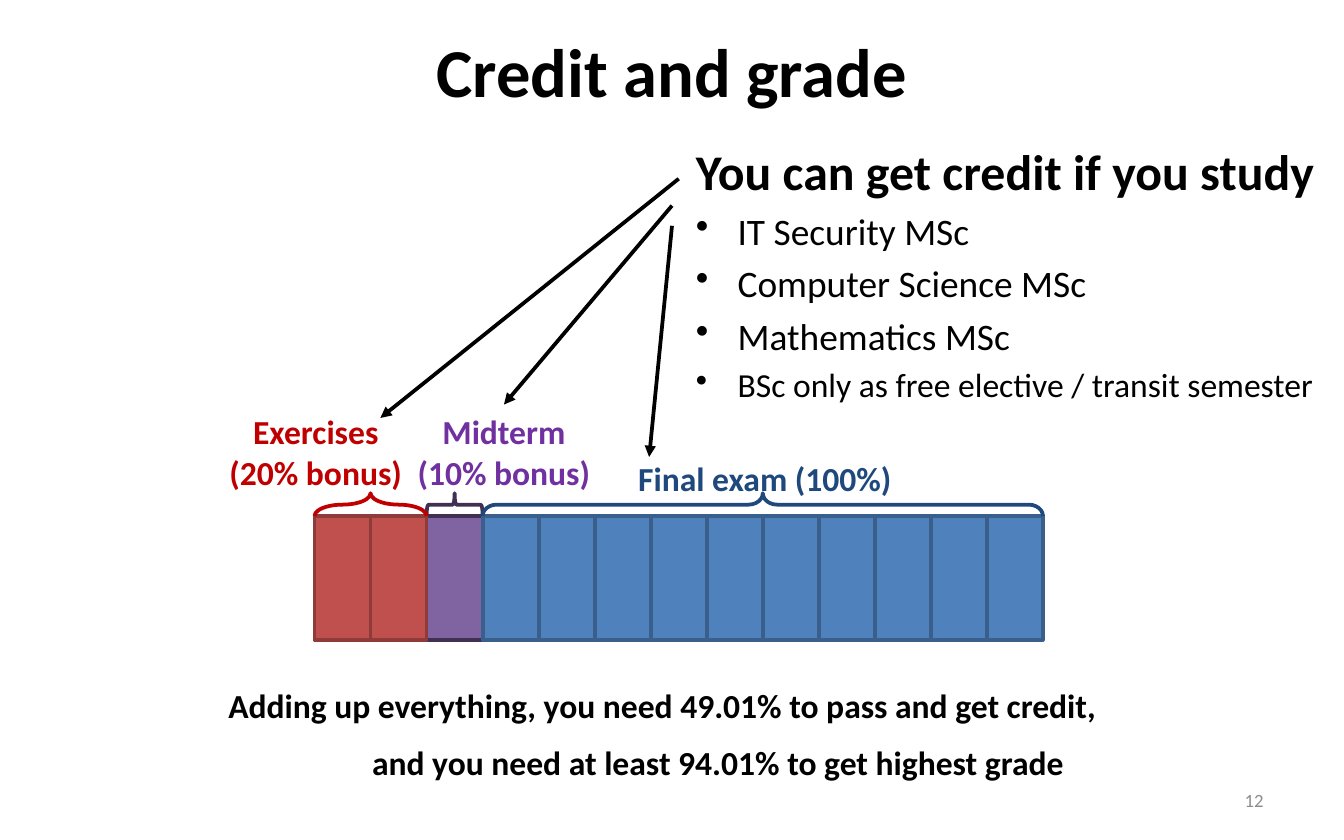
from pptx import Presentation
from pptx.dml.color import RGBColor
from pptx.enum.shapes import MSO_CONNECTOR as CONN, MSO_SHAPE as SHAPE
from pptx.enum.text import MSO_ANCHOR as ANCHOR, PP_ALIGN as ALIGN
from pptx.oxml.ns import qn
from pptx.util import Pt
from lxml.etree import SubElement

THEME = {
    "font": "Calibri", "ink": "000000", "muted": "8C8C8C",
    "title": 36.7, "heading": 26.7, "body": 20, "label": 18, "number": 10, "line": 2,
}
TITLE = "Credit and grade"
PAGE = "12"
HEADING = "You can get credit if you study"
PROGRAMMES = [
    ("IT Security MSc", THEME["body"]),
    ("Computer Science MSc", THEME["body"]),
    ("Mathematics MSc", THEME["body"]),
    ("BSc only as free elective / transit semester", THEME["label"]),
]
CONCLUSIONS = [
    ("Adding up everything, you need 49.01% to pass and get credit,", (160, 505, 672, 40)),
    ("and you need at least 94.01% to get highest grade", (267, 547, 539, 40)),
]
PARTS = [
    {"label": "Midterm\n(10% bonus)", "box": (300, 301, 150, 71), "start": 2, "cells": 1,
     "fill": "8064A2", "edge": "403152", "text": "7030A0", "brace": "403152", "curl": 0.08},
    {"label": "Exercises\n(20% bonus)", "box": (160, 301, 150, 71), "start": 0, "cells": 2,
     "fill": "C0504D", "edge": "8E3B39", "text": "C00000", "brace": "C00000", "curl": 1.31},
    {"label": "Final exam (100%)", "box": (465, 336, 210, 40), "start": 3, "cells": 10,
     "fill": "4F81BD", "edge": "3A5F8C", "text": "1F497D", "brace": "1F497D", "curl": 0.62},
]
ARROWS = [((505, 133), (283, 311)), ((500, 153), (375, 301)), ((500, 168), (483, 340))]
BAR_X, BAR_Y, BAR_W, BAR_H, CELLS = 234, 384, 542, 92, 13
CELL_W = BAR_W / CELLS
BRACE_H = 17


def px(n):
    return round(n * 9144)


def rgb(value):
    return RGBColor.from_string(value)


def style(p, size, color=THEME["ink"], bold=False, align=ALIGN.LEFT):
    p.alignment = align
    p.font.name = THEME["font"]
    p.font.size = Pt(size)
    p.font.bold = bold
    p.font.color.rgb = rgb(color)


def add_text(s, text, box, size, wrap=False, **look):
    tf = s.shapes.add_textbox(*map(px, box)).text_frame
    tf.word_wrap = wrap
    p = tf.paragraphs[0]
    p.text = text
    style(p, size, **look)
    return tf


def add_outlined(s, kind, box, edge, fill=None):
    sp = s.shapes.add_shape(kind, *map(px, box))
    sp.shadow.inherit = False
    sp.line.color.rgb = rgb(edge)
    sp.line.width = Pt(THEME["line"])
    if fill:
        sp.fill.solid()
        sp.fill.fore_color.rgb = rgb(fill)
    else:
        sp.fill.background()
    return sp


def add_part(s, part):
    left = BAR_X + part["start"] * CELL_W
    width = part["cells"] * CELL_W
    for i in range(part["cells"]):
        cell = (left + i * CELL_W, BAR_Y, CELL_W, BAR_H)
        add_outlined(s, SHAPE.RECTANGLE, cell, part["edge"], part["fill"])
    align = ALIGN.CENTER if "\n" in part["label"] else ALIGN.LEFT
    add_text(s, part["label"], part["box"], THEME["label"],
             color=part["text"], bold=True, align=align)
    box = (left + (width - BRACE_H) / 2, BAR_Y - (BRACE_H + width) / 2, BRACE_H, width)
    brace = add_outlined(s, SHAPE.LEFT_BRACE, box, part["brace"])
    brace.rotation = 90
    brace.adjustments[0] = part["curl"]


def add_programmes(s):
    tf = add_text(s, HEADING, (508, 100, 481, 198), THEME["heading"], wrap=True, bold=True)
    tf.paragraphs[0].space_before = Pt(THEME["heading"] * 0.2)
    for text, size in PROGRAMMES:
        p = tf.add_paragraph()
        p.text = text
        style(p, size)
        p.space_before = Pt(size * 0.2)
        pPr = p._p.get_or_add_pPr()
        pPr.set("marL", str(px(31)))
        pPr.set("indent", str(-px(31)))
        bullet = pPr.makeelement(qn("a:buChar"), {"char": "•"})
        pPr.find(qn("a:defRPr")).addprevious(bullet)


def add_arrow(s, start, end):
    arrow = s.shapes.add_connector(CONN.STRAIGHT, *map(px, start + end))
    arrow.line.color.rgb = rgb(THEME["ink"])
    arrow.line.width = Pt(THEME["line"])
    SubElement(arrow.line._get_or_add_ln(), qn("a:tailEnd"), type="triangle")
    SubElement(arrow._element.spPr, qn("a:effectLst"))


def main():
    prs = Presentation()
    prs.slide_width, prs.slide_height = px(1000), px(625)
    s = prs.slides.add_slide(prs.slide_layouts[5])

    title = s.shapes.title
    title.left, title.top, title.width, title.height = map(px, (50, 0, 900, 104))
    title.text_frame.text = TITLE
    title.text_frame.vertical_anchor = ANCHOR.MIDDLE
    style(title.text_frame.paragraphs[0], THEME["title"], bold=True, align=ALIGN.CENTER)

    number = add_text(s, PAGE, (717, 579, 233, 33), THEME["number"], wrap=True,
                      color=THEME["muted"], align=ALIGN.RIGHT)
    number.vertical_anchor = ANCHOR.MIDDLE

    for text, box in CONCLUSIONS:
        add_text(s, text, box, THEME["label"], bold=True)
    add_programmes(s)
    for part in PARTS:
        add_part(s, part)
    for start, end in ARROWS:
        add_arrow(s, start, end)
    prs.save("out.pptx")


if __name__ == "__main__":
    main()
